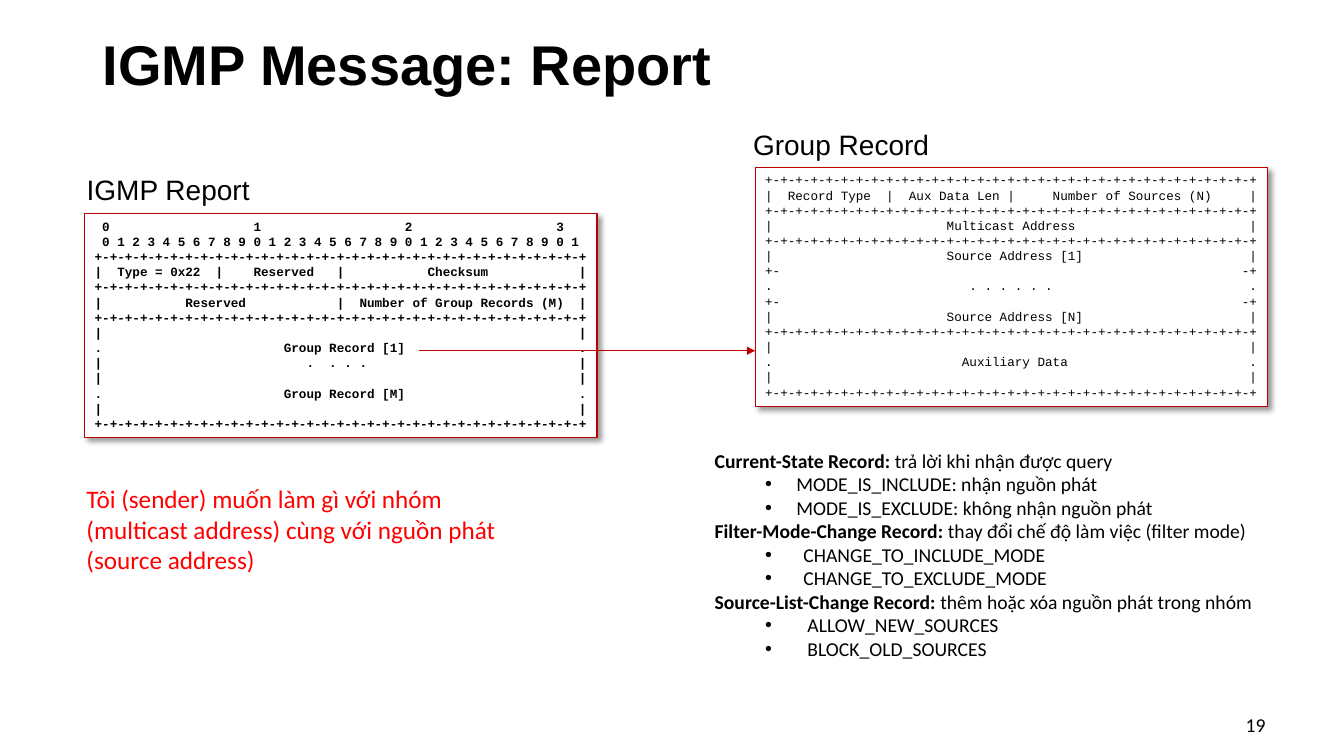
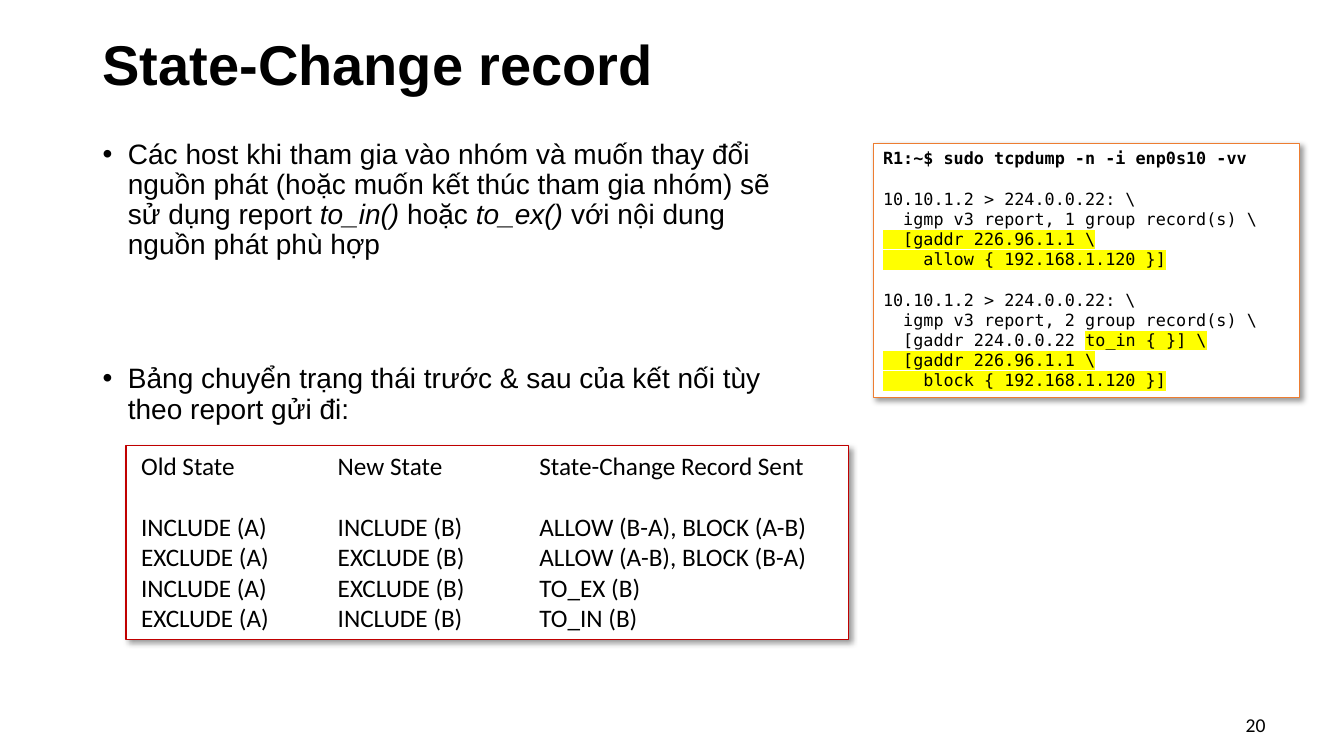
"""Build two slides on IGMP report messages and state-change records."""
from dataclasses import dataclass, replace
from typing import Optional, Sequence

from lxml.etree import SubElement
from pptx import Presentation
from pptx.dml.color import RGBColor
from pptx.enum.shapes import MSO_CONNECTOR, MSO_SHAPE
from pptx.enum.text import MSO_ANCHOR, PP_ALIGN
from pptx.oxml.ns import qn
from pptx.util import Inches, Pt


@dataclass(frozen=True)
class Theme:
    black: str = "000000"
    white: str = "FFFFFF"
    dark_red: str = "C00000"
    red: str = "FF0000"
    orange: str = "ED7D31"
    yellow: str = "FFFF00"
    heading_font: str = "Arial"
    text_font: str = "Calibri"
    diagram_font: str = "Courier New"
    terminal_font: str = "DejaVu Sans Mono"
    title_size: int = 40
    body_size: int = 20
    note_size: int = 18
    detail_size: int = 14
    terminal_size: int = 12
    diagram_size: int = 9


THEME = Theme()


@dataclass(frozen=True)
class Box:
    left: float
    top: float
    width: float
    height: float


@dataclass(frozen=True)
class Style:
    font: str
    size: int
    color: str = THEME.black
    bold: bool = False
    line_spacing: Optional[float] = None
    align: PP_ALIGN = PP_ALIGN.LEFT


@dataclass(frozen=True)
class Span:
    text: str
    bold: bool = False
    italic: bool = False
    marked: bool = False


@dataclass(frozen=True)
class Para:
    spans: Sequence[Span]
    margin: float = 0
    hanging: float = 0
    level: int = 0
    before: float = 0
    tabs: Sequence[float] = ()


TITLE = Style(THEME.heading_font, THEME.title_size, bold=True, line_spacing=0.9)
BODY = Style(THEME.heading_font, THEME.body_size, line_spacing=0.9)
NOTE = Style(THEME.text_font, THEME.note_size)
DETAIL = Style(THEME.text_font, THEME.detail_size)
NUMBER = replace(DETAIL, align=PP_ALIGN.RIGHT)
DIAGRAM = Style(THEME.diagram_font, THEME.diagram_size)
TERMINAL = Style(THEME.terminal_font, THEME.terminal_size)

TITLE_BOX = Box(0.92, 0.26, 11.5, 0.81)
NUMBER_BOX = Box(11.81, 6.99, 0.84, 0.4)
FIELD_WIDTHS = {1: (63,), 2: (31, 31), 3: (15, 15, 31)}
RULE = "+-" * 32 + "+"


def plain(text: str, **layout) -> Para:
    return Para([Span(text)], **layout)


def rgb(value: str) -> RGBColor:
    return RGBColor.from_string(value)


def row(*fields: str, edge: str = "|") -> str:
    cells = [field.center(width) for field, width in zip(fields, FIELD_WIDTHS[len(fields)])]
    return edge + "|".join(cells) + edge


def add_span(paragraph, span: Span, style: Style) -> None:
    run = paragraph.add_run()
    run.text = span.text
    font = run.font
    font.name, font.size = style.font, Pt(style.size)
    font.bold, font.italic = style.bold or span.bold, span.italic
    font.color.rgb = rgb(style.color)
    if span.marked:
        properties = run._r.get_or_add_rPr()
        highlight = SubElement(properties, qn("a:highlight"))
        SubElement(highlight, qn("a:srgbClr"), val=THEME.yellow)
        properties.find(qn("a:solidFill")).addnext(highlight)


def write(frame, paras: Sequence[Para], style: Style) -> None:
    frame.word_wrap = True
    for index, para in enumerate(paras):
        paragraph = frame.add_paragraph() if index else frame.paragraphs[0]
        paragraph.alignment = style.align
        paragraph.level = para.level
        paragraph.space_before = Pt(para.before)
        if style.line_spacing:
            paragraph.line_spacing = style.line_spacing
        properties = paragraph._p.get_or_add_pPr()
        if para.hanging:
            properties.set("marL", str(Inches(para.margin)))
            properties.set("indent", str(-Inches(para.hanging)))
            SubElement(properties, qn("a:buFont"), typeface=THEME.heading_font)
            SubElement(properties, qn("a:buChar"), char="•")
        if para.tabs:
            stops = SubElement(properties, qn("a:tabLst"))
            for stop in para.tabs:
                SubElement(stops, qn("a:tab"), pos=str(Inches(stop)), algn="l")
        for span in para.spans:
            add_span(paragraph, span, style)


def place(box: Box) -> tuple:
    return Inches(box.left), Inches(box.top), Inches(box.width), Inches(box.height)


def add_text(slide, box: Box, paras: Sequence[Para], style: Style,
             anchor: MSO_ANCHOR = MSO_ANCHOR.TOP) -> None:
    frame = slide.shapes.add_textbox(*place(box)).text_frame
    frame.vertical_anchor = anchor
    write(frame, paras, style)


def add_panel(slide, box: Box, paras: Sequence[Para], style: Style,
              outline: str = THEME.dark_red, weight: float = 0.75, inset: float = 0.1) -> None:
    panel = slide.shapes.add_shape(MSO_SHAPE.RECTANGLE, *place(box))
    panel.fill.solid()
    panel.fill.fore_color.rgb = rgb(THEME.white)
    panel.line.color.rgb = rgb(outline)
    panel.line.width = Pt(weight)
    panel.shadow.inherit = False
    effects = panel._element.spPr.find(qn("a:effectLst"))
    shadow = SubElement(effects, qn("a:outerShdw"), blurRad=str(Pt(4)), dist=str(Pt(3)),
                        dir="2700000", algn="tl", rotWithShape="0")
    tint = SubElement(shadow, qn("a:srgbClr"), val=THEME.black)
    SubElement(tint, qn("a:alpha"), val="40000")
    frame = panel.text_frame
    frame.vertical_anchor = MSO_ANCHOR.TOP
    frame.margin_left = Inches(inset)
    write(frame, paras, style)


def add_arrow(slide, left: float, right: float, height: float) -> None:
    arrow = slide.shapes.add_connector(MSO_CONNECTOR.STRAIGHT, Inches(left), Inches(height),
                                       Inches(right), Inches(height))
    arrow.line.color.rgb = rgb(THEME.dark_red)
    arrow.line.width = Pt(1)
    SubElement(arrow.line._get_or_add_ln(), qn("a:tailEnd"), type="triangle")
    SubElement(arrow._element.spPr, qn("a:effectLst"))


def start_slide(deck, title: str, number: int):
    slide = deck.slides.add_slide(deck.slide_layouts[6])
    add_text(slide, TITLE_BOX, [plain(title)], TITLE, MSO_ANCHOR.MIDDLE)
    add_text(slide, NUMBER_BOX, [plain(str(number))], NUMBER, MSO_ANCHOR.MIDDLE)
    return slide


def build_report(deck) -> None:
    slide = start_slide(deck, "IGMP Message: Report", 19)
    report = [
        " " + "".join(f"{tens:<20}" for tens in range(4)).rstrip(),
        " " + " ".join(str(bit % 10) for bit in range(32)),
        RULE,
        row("Type = 0x22", "Reserved", "Checksum "),
        RULE,
        row("Reserved ", "Number of Group Records (M)"),
        RULE,
        row(""),
        row("Group Record [1]", edge="."),
        row(".  . . . "),
        row(""),
        row("Group Record [M]", edge="."),
        row(""),
        RULE,
    ]
    gap = "+-" + " " * 61 + "-+"
    record = [
        RULE,
        row("Record Type", "Aux Data Len", "Number of Sources (N)"),
        RULE,
        row("Multicast Address"),
        RULE,
        row("Source Address [1]"),
        gap,
        row(". . . . . .", edge="."),
        gap,
        row("Source Address [N]"),
        RULE,
        row(""),
        row("Auxiliary Data", edge="."),
        row(""),
        RULE,
    ]
    add_text(slide, Box(0.76, 1.7, 4.92, 0.48), [plain("IGMP Report", before=10)], BODY)
    add_panel(slide, Box(0.84, 2.12, 5.08, 2.22), [plain(line) for line in report],
              replace(DIAGRAM, bold=True), weight=1)
    add_panel(slide, Box(7.49, 1.66, 5.08, 2.37), [plain(line) for line in record], DIAGRAM)
    add_text(slide, Box(7.37, 1.25, 4.92, 0.47), [plain("Group Record", before=10)], BODY)
    add_arrow(slide, 4.16, 7.49, 3.48)

    record_types = [
        ("Current-State Record: ", "trả lời khi nhận được query", 0.31,
         ("MODE_IS_INCLUDE: nhận nguồn phát", "MODE_IS_EXCLUDE: không nhận nguồn phát")),
        ("Filter-Mode-Change Record: ", "thay đổi chế độ làm việc (filter mode)", 0.38,
         ("CHANGE_TO_INCLUDE_MODE", "CHANGE_TO_EXCLUDE_MODE")),
        ("Source-List-Change Record: ", "thêm hoặc xóa nguồn phát trong nhóm", 0.42,
         ("ALLOW_NEW_SOURCES", "BLOCK_OLD_SOURCES")),
    ]
    details = []
    for name, meaning, hanging, modes in record_types:
        details.append(Para([Span(name, bold=True), Span(meaning)]))
        details += [plain(mode, margin=0.5 + hanging, hanging=hanging, level=1) for mode in modes]
    add_text(slide, Box(6.99, 4.4, 5.6, 2.22), details, DETAIL)
    question = ("Tôi (sender) muốn làm gì với nhóm (multicast address) "
                "cùng với nguồn phát (source address)")
    add_text(slide, Box(0.76, 4.75, 4.34, 1.01), [plain(question)],
             replace(NOTE, color=THEME.red))


def build_state_change(deck) -> None:
    slide = start_slide(deck, "State-Change record", 20)
    usage = [
        Span("Các host khi tham gia vào nhóm và muốn thay đổi nguồn phát "
             "(hoặc muốn kết thúc tham gia nhóm) sẽ sử dụng report "),
        Span("to_in()", italic=True),
        Span(" hoặc "),
        Span("to_ex() ", italic=True),
        Span("với nội dung nguồn phát phù hợp"),
    ]
    transition = "Bảng chuyển trạng thái trước & sau của kết nối tùy theo report gửi đi:"
    add_text(slide, Box(0.92, 1.34, 7.08, 5.41), [
        Para(usage, margin=0.25, hanging=0.25, before=10),
        plain(transition, margin=0.25, hanging=0.25, before=74),
    ], BODY)

    columns = (1.95, 3.95)
    states = [
        ("INCLUDE (A)", "INCLUDE (B)", "ALLOW (B-A), BLOCK (A-B)"),
        ("EXCLUDE (A)", "EXCLUDE (B)", "ALLOW (A-B), BLOCK (B-A)"),
        ("INCLUDE (A)", "EXCLUDE (B)", "TO_EX (B)"),
        ("EXCLUDE (A)", "INCLUDE (B)", "TO_IN (B)"),
    ]
    table = [plain("\t".join(("Old State", "New State", "State-Change Record Sent")), tabs=columns)]
    table += [plain("\t".join(state), tabs=columns, before=0 if index else 22)
              for index, state in enumerate(states)]
    add_panel(slide, Box(1.25, 4.42, 7.17, 1.92), table, NOTE, inset=0.15)

    sender = plain("10.10.1.2 > 224.0.0.22: \\", before=14.4)
    group = Para([Span("  [gaddr 226.96.1.1 \\", marked=True)])
    capture = [
        Para([Span("R1:~$ sudo tcpdump -n -i enp0s10 -vv", bold=True)]),
        sender,
        plain("  igmp v3 report, 1 group record(s) \\"),
        group,
        Para([Span("    allow { 192.168.1.120 }]", marked=True)]),
        sender,
        plain("  igmp v3 report, 2 group record(s) \\"),
        Para([Span("  [gaddr 224.0.0.22 "), Span("to_in { }] \\", marked=True)]),
        group,
        Para([Span("    block { 192.168.1.120 }]", marked=True)]),
    ]
    add_panel(slide, Box(8.66, 1.42, 4.23, 2.52), capture, TERMINAL, outline=THEME.orange)


def main() -> None:
    deck = Presentation()
    deck.slide_width, deck.slide_height = Inches(13.33), Inches(7.5)
    build_report(deck)
    build_state_change(deck)
    deck.save("out.pptx")


if __name__ == "__main__":
    main()
